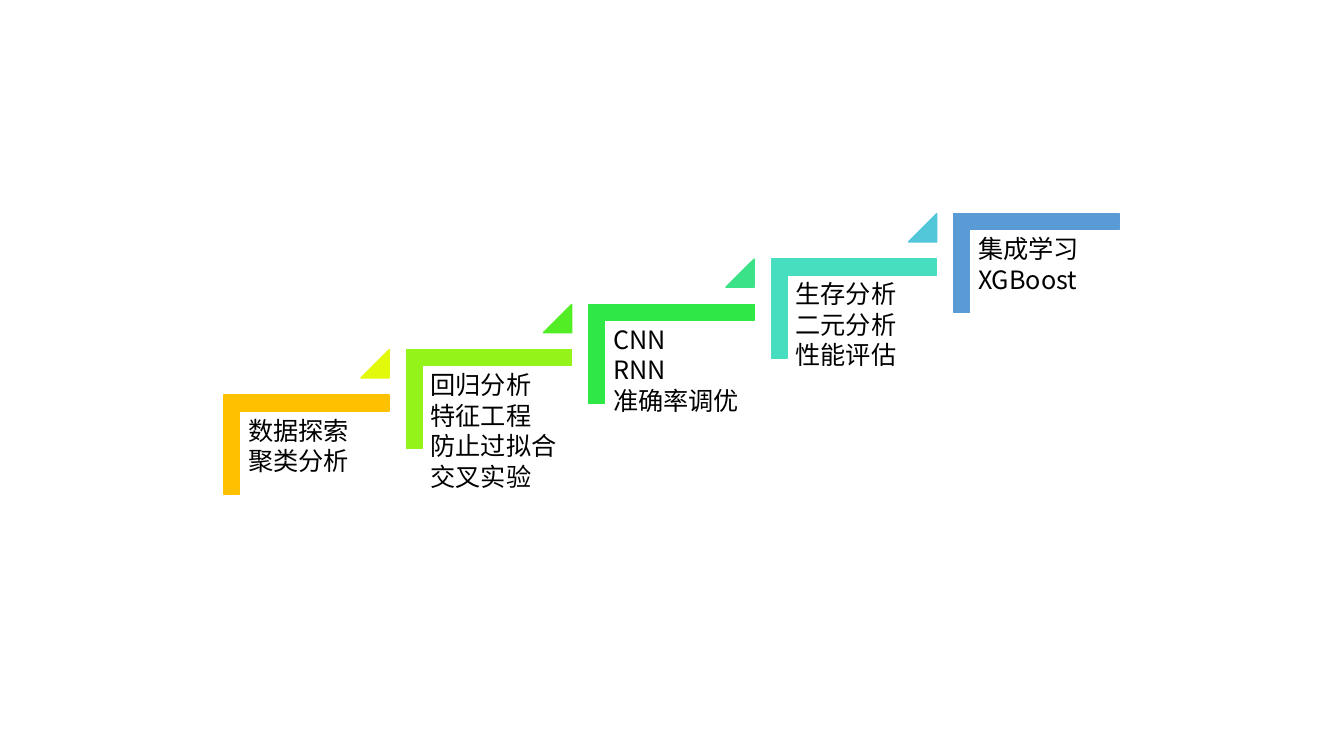
from dataclasses import dataclass

from lxml.etree import SubElement
from pptx import Presentation
from pptx.dml.color import RGBColor
from pptx.enum.shapes import MSO_SHAPE as Preset
from pptx.oxml.ns import qn
from pptx.util import Inches, Pt


@dataclass(frozen=True)
class Theme:
    font: str = "Noto Sans CJK SC"
    text_size: float = 18
    text_color: str = "000000"
    line_spacing: float = 0.9
    space_after: float = 2.3
    outline: float = 1
    bracket_thickness: float = 0.16


@dataclass(frozen=True)
class Step:
    topics: tuple
    bracket_color: str
    marker_color: str = ""


THEME = Theme()
STEPS = (
    Step(("数据探索", "聚类分析"), "FFC000", "E3F90C"),
    Step(("回归分析", "特征工程", "防止过拟合", "交叉实验"), "94F319", "52ED24"),
    Step(("CNN", "RNN", "准确率调优"), "30E845", "3BE287"),
    Step(("生存分析", "二元分析", "性能评估"), "46DEBF", "51C7D9"),
    Step(("集成学习", "XGBoost"), "5B9BD5"),
)
STEP_WIDTH, STEP_HEIGHT = 1.64, 0.98
STEP_RUN, STEP_RISE = 1.81, 0.45
MARKER_SIZE = 0.28


def add_solid(shapes, preset, box, color, adjustments):
    solid = shapes.add_shape(preset, *map(Inches, box))
    for index, value in enumerate(adjustments):
        solid.adjustments[index] = value
    solid.shadow.inherit = False
    solid.fill.solid()
    solid.fill.fore_color.rgb = RGBColor.from_string(color)
    solid.line.color.rgb = RGBColor.from_string(color)
    solid.line.width = Pt(THEME.outline)
    return solid


def add_bracket(shapes, left, top, color):
    shift = (STEP_WIDTH - STEP_HEIGHT) / 2
    box = (left + shift, top - shift, STEP_HEIGHT, STEP_WIDTH)
    bracket = add_solid(shapes, Preset.CORNER, box, color,
                        (THEME.bracket_thickness, THEME.bracket_thickness))
    bracket.rotation = 90


def add_topics(shapes, box, topics):
    frame = shapes.add_textbox(*map(Inches, box)).text_frame
    frame.word_wrap = True
    frame.margin_left = frame.margin_right = Inches(0.07)
    frame.margin_top = frame.margin_bottom = Inches(0.07)
    for index, topic in enumerate(topics):
        paragraph = frame.add_paragraph() if index else frame.paragraphs[0]
        paragraph.line_spacing = THEME.line_spacing
        paragraph.space_after = Pt(THEME.space_after)
        run = paragraph.add_run()
        run.text = topic
        run.font.size = Pt(THEME.text_size)
        run.font.color.rgb = RGBColor.from_string(THEME.text_color)
        run.font.name = THEME.font
        SubElement(run._r.get_or_add_rPr(), qn("a:ea"), typeface=THEME.font)


def add_step(shapes, left, top, step):
    add_bracket(shapes, left, top, step.bracket_color)
    add_topics(shapes, (left + 0.17, top + 0.16, 1.48, 1.3), step.topics)
    if step.marker_color:
        box = (left + STEP_WIDTH - MARKER_SIZE, top - 0.45, MARKER_SIZE, MARKER_SIZE)
        add_solid(shapes, Preset.ISOSCELES_TRIANGLE, box, step.marker_color, (1,))


def add_staircase(slide, left, top):
    staircase = slide.shapes.add_group_shape()
    for index, step in enumerate(STEPS):
        add_step(staircase.shapes, left + index * STEP_RUN, top - index * STEP_RISE, step)


def main():
    deck = Presentation()
    deck.slide_width, deck.slide_height = Inches(13.33), Inches(7.5)
    slide = deck.slides.add_slide(deck.slide_layouts[6])
    add_staircase(slide, 2.22, 3.92)
    deck.save("out.pptx")


if __name__ == "__main__":
    main()
